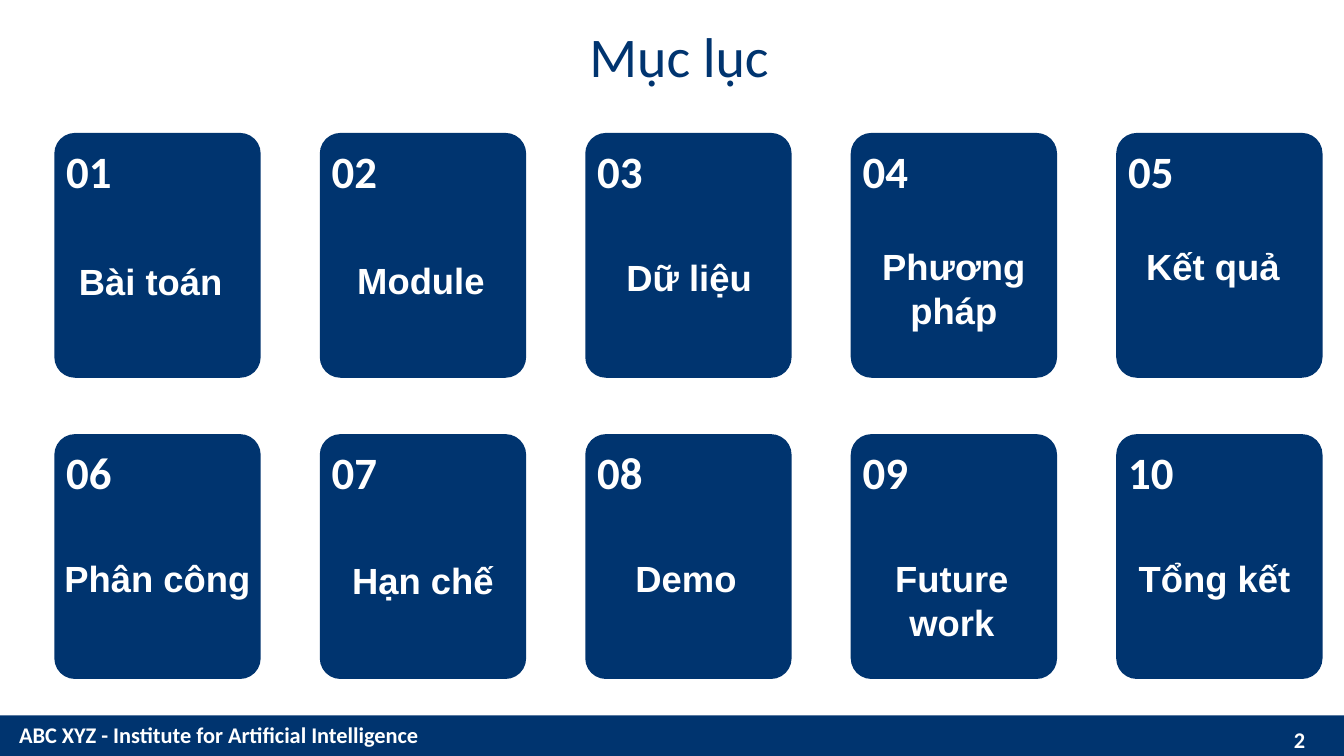
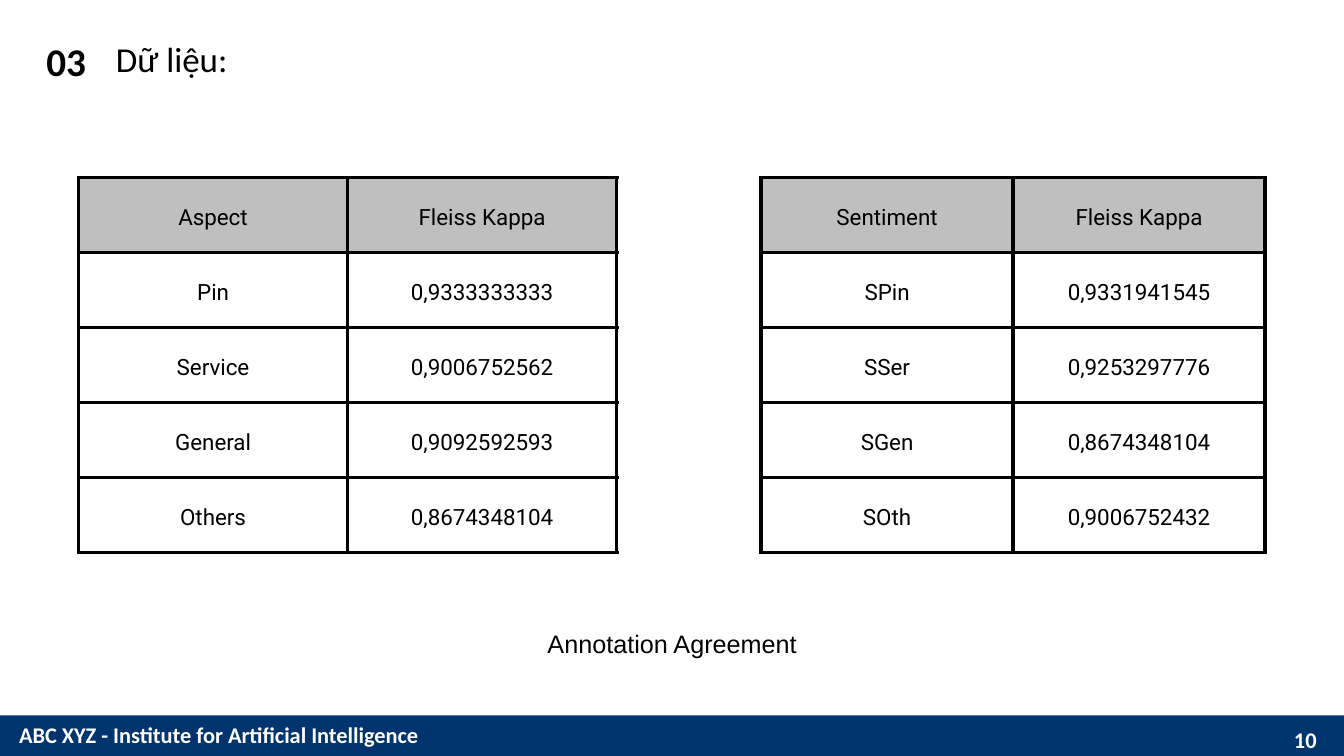
from lxml import etree
from pptx import Presentation
from pptx.dml.color import RGBColor
from pptx.enum.shapes import MSO_SHAPE as Shape
from pptx.enum.text import MSO_ANCHOR as Anchor, MSO_AUTO_SIZE as AutoSize, PP_ALIGN as Align
from pptx.oxml.ns import qn
from pptx.util import Cm, Pt

NAVY, WHITE, BLACK, GREY = "00346F", "FFFFFF", "000000", "BFBFBF"
PAGE_WIDTH, PAGE_HEIGHT = 33.87, 19.05
BAND_TOP = 18.03
FOOTER = "ABC XYZ - Institute for Artificial Intelligence"

CARDS_PER_ROW = 5
CARD_LEFT, CARD_TOP = 1.37, 3.35
CARD_STEP_X, CARD_STEP_Y = 6.69, 7.59
CARD_WIDTH, CARD_HEIGHT = 5.2, 6.17
LABEL_WIDTH = 5
# Label, its centre from the card's left, its top from the card's top
TOPICS = [
    ("Bài toán", 2.43, 3.15),
    ("Module", 2.55, 3.12),
    ("Dữ liệu", 2.62, 3.05),
    ("Phương pháp", 2.6, 2.77),
    ("Kết quả", 2.44, 2.77),
    ("Phân công", 2.6, 3.05),
    ("Hạn chế", 2.6, 3.1),
    ("Demo", 2.54, 3.05),
    ("Future work", 2.55, 3.05),
    ("Tổng kết", 2.48, 3.05),
]

ASPECT_ROWS = [
    ("Aspect", "Fleiss Kappa"),
    ("Pin", "0,9333333333"),
    ("Service", "0,9006752562"),
    ("General", "0,9092592593"),
    ("Others", "0,8674348104"),
]
SENTIMENT_ROWS = [
    ("Sentiment", "Fleiss Kappa"),
    ("SPin", "0,9331941545"),
    ("SSer", "0,9253297776"),
    ("SGen", "0,8674348104"),
    ("SOth", "0,9006752432"),
]


def color(hex_code):
    return RGBColor.from_string(hex_code)


def write(frame, text, size, hex_code, font="Calibri", bold=False, align=Align.LEFT):
    para = frame.paragraphs[0]
    para.text = text
    para.alignment = align
    para.font.name = font
    para.font.size = Pt(size)
    para.font.bold = bold
    para.font.color.rgb = color(hex_code)
    return para


def fit_frame(frame):
    """Wrap text at a fixed size, from the top, with almost no insets."""
    frame.word_wrap = True
    frame.auto_size = AutoSize.NONE
    frame.vertical_anchor = Anchor.TOP
    frame.margin_left = frame.margin_right = frame.margin_bottom = 0
    frame.margin_top = Cm(0.03)


def add_text(page, left, top, width, height, text, size, hex_code, **style):
    box = page.shapes.add_textbox(Cm(left), Cm(top), Cm(width), Cm(height))
    fit_frame(box.text_frame)
    write(box.text_frame, text, size, hex_code, **style)


def set_title(page, left, top, width, height, text, size, hex_code, **style):
    title = page.shapes.title
    title.left, title.top = Cm(left), Cm(top)
    title.width, title.height = Cm(width), Cm(height)
    fit_frame(title.text_frame)
    write(title.text_frame, text, size, hex_code, **style)


def add_block(page, kind, left, top, width, height):
    block = page.shapes.add_shape(kind, Cm(left), Cm(top), Cm(width), Cm(height))
    block.shadow.inherit = False
    block.fill.solid()
    block.fill.fore_color.rgb = color(NAVY)
    block.line.fill.background()
    return block


def move_band_to_layout(page):
    """Put the bottom band on the layout, so that every page shows it."""
    band = add_block(page, Shape.RECTANGLE, 0, BAND_TOP, PAGE_WIDTH, PAGE_HEIGHT - BAND_TOP)
    page.slide_layout.element.cSld.spTree.append(band.element)


def add_footer(page, number):
    add_text(page, 0.48, 18.14, 10.5, 0.74, FOOTER, 16, WHITE, bold=True)
    add_text(page, 32.61, 18.26, 0.9, 0.66, str(number), 16, WHITE, bold=True)


def add_card(page, index, label, center, label_top):
    row, column = divmod(index, CARDS_PER_ROW)
    left = CARD_LEFT + column * CARD_STEP_X
    top = CARD_TOP + row * CARD_STEP_Y
    card = add_block(page, Shape.ROUNDED_RECTANGLE, left, top, CARD_WIDTH, CARD_HEIGHT)
    card.adjustments[0] = 0.1
    add_text(page, left + 0.3, top + 0.23, 2, 1.4, f"{index + 1:02}", 32, WHITE, bold=True)
    add_text(page, left + center - LABEL_WIDTH / 2, top + label_top, LABEL_WIDTH, 1.14,
             label, 26, WHITE, font="Arial", bold=True, align=Align.CENTER)


def add_borders(cell):
    properties = cell._tc.get_or_add_tcPr()
    for side in ("lnL", "lnR", "lnT", "lnB"):
        line = etree.SubElement(properties, qn(f"a:{side}"), w=str(Pt(3)))
        fill = etree.SubElement(line, qn("a:solidFill"))
        etree.SubElement(fill, qn("a:srgbClr"), val=BLACK)


def format_cell(cell, text, is_header):
    cell.vertical_anchor = Anchor.MIDDLE
    cell.margin_left = cell.margin_right = cell.margin_top = cell.margin_bottom = Cm(0.53)
    add_borders(cell)
    if is_header:
        cell.fill.solid()
        cell.fill.fore_color.rgb = color(GREY)
    else:
        cell.fill.background()
    para = write(cell.text_frame, text, 16, BLACK, font="Roboto", align=Align.CENTER)
    para.line_spacing = Pt(22.4)


def add_kappa_table(page, left, column_width, rows):
    top, row_height = 4.47, 1.89
    column_count = len(rows[0])
    table = page.shapes.add_table(
        len(rows), column_count, Cm(left), Cm(top),
        Cm(column_width * column_count), Cm(row_height * len(rows))).table
    table.first_row = table.horz_banding = False
    for column in table.columns:
        column.width = Cm(column_width)
    for row_index, texts in enumerate(rows):
        table.rows[row_index].height = Cm(row_height)
        for column_index, text in enumerate(texts):
            format_cell(table.cell(row_index, column_index), text, row_index == 0)


def build_contents(page):
    set_title(page, 12.24, 0.51, 9.75, 1.75, "Mục\u00a0lục".replace("\u00a0", " "), 40, NAVY,
              align=Align.CENTER)
    for index, (label, center, label_top) in enumerate(TOPICS):
        add_card(page, index, label, center, label_top)
    add_footer(page, 2)


def build_agreement(page):
    set_title(page, 2.92, 0.91, 5.18, 1.1, "Dữ liệu:", 25, BLACK)
    add_text(page, 1.17, 0.91, 1.2, 1.25, "03", 28, BLACK, bold=True)
    add_kappa_table(page, 1.98, 6.78, ASPECT_ROWS)
    add_kappa_table(page, 19.18, 6.35, SENTIMENT_ROWS)
    add_text(page, 11.15, 15.8, 11.58, 0.8, "Annotation Agreement", 18, BLACK,
             font="Arial", align=Align.CENTER)
    add_footer(page, 10)


def main():
    deck = Presentation()
    deck.slide_width, deck.slide_height = Cm(PAGE_WIDTH), Cm(PAGE_HEIGHT)
    title_only = deck.slide_layouts[5]
    contents = deck.slides.add_slide(title_only)
    agreement = deck.slides.add_slide(title_only)
    move_band_to_layout(contents)
    build_contents(contents)
    build_agreement(agreement)
    deck.save("out.pptx")


if __name__ == "__main__":
    main()
